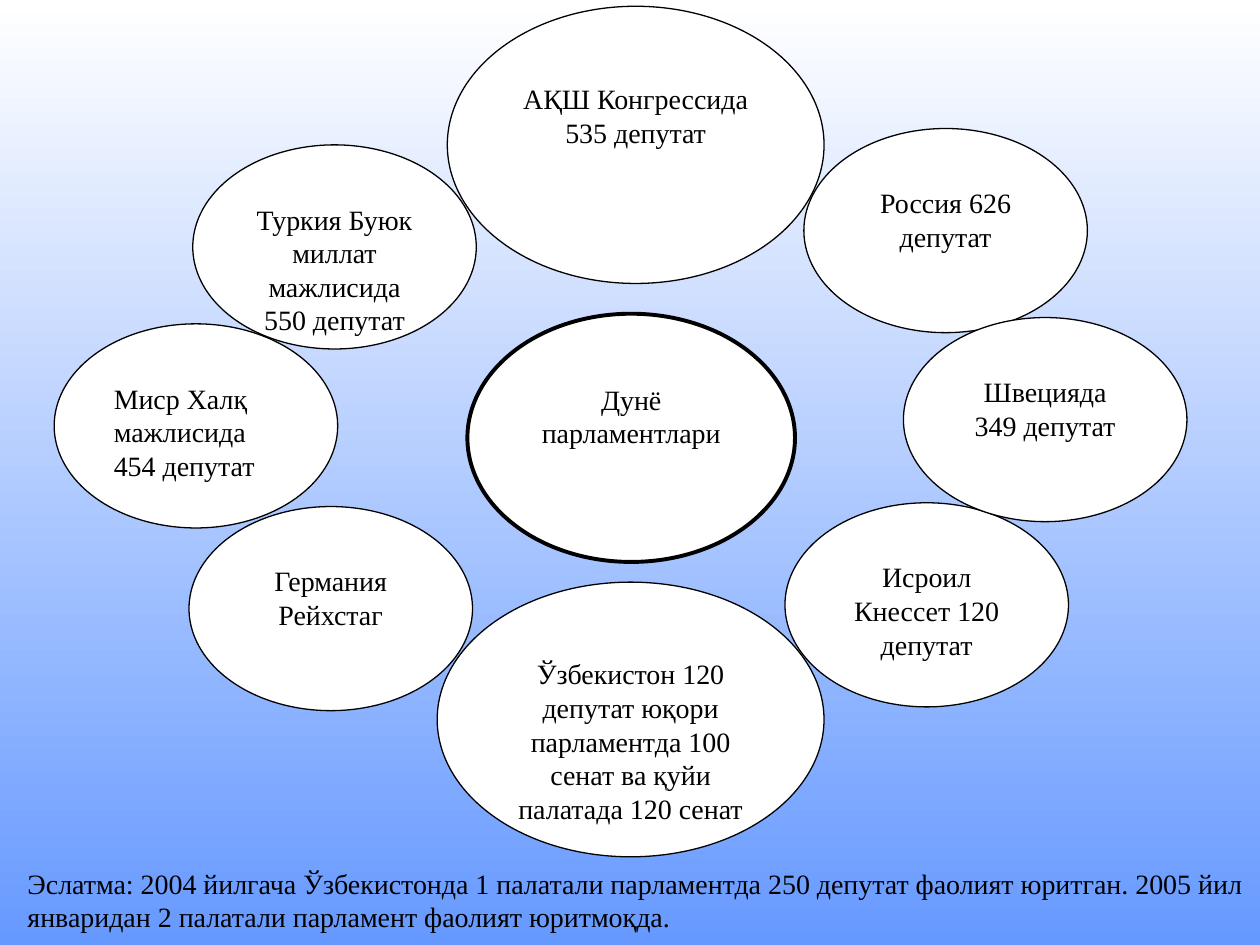
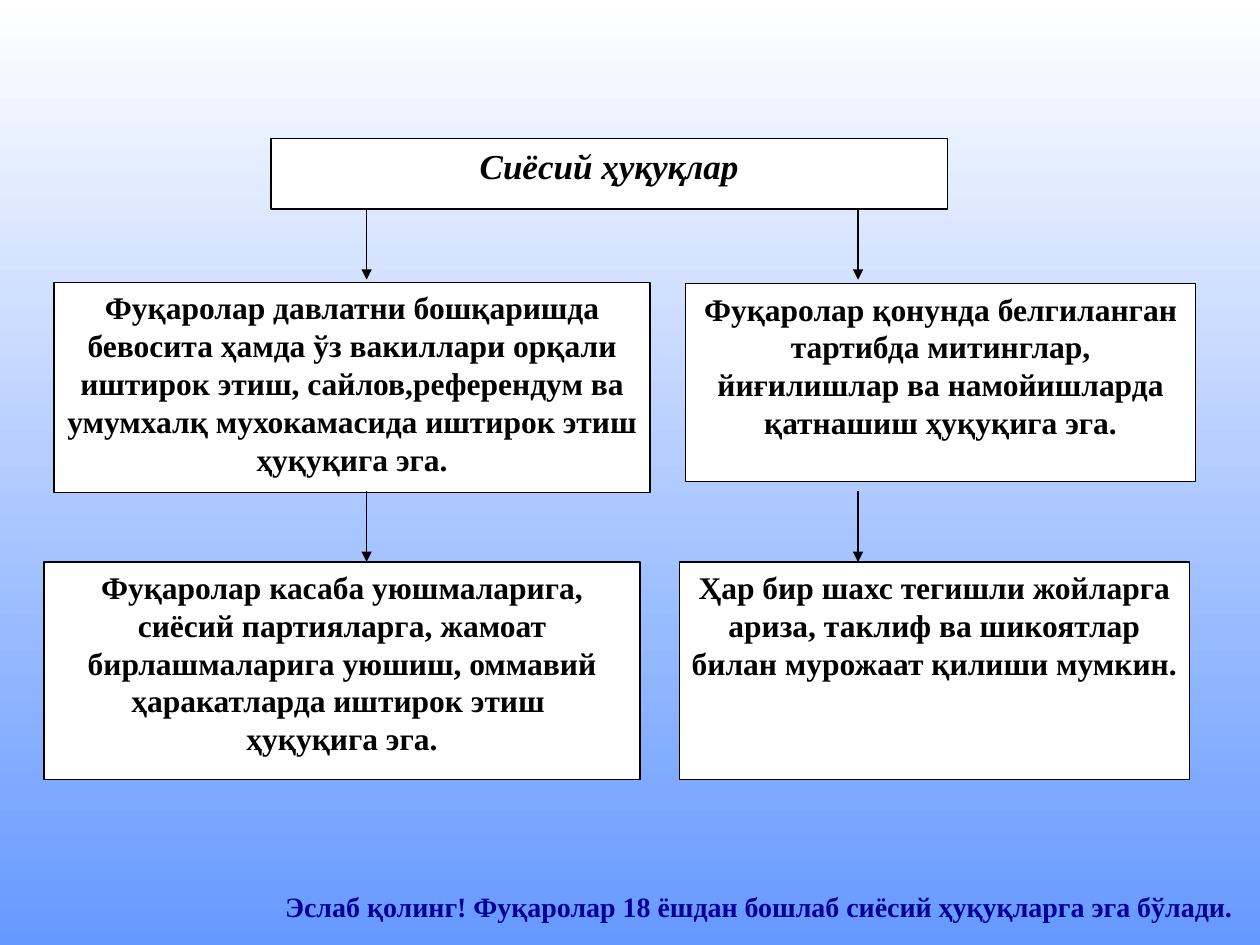
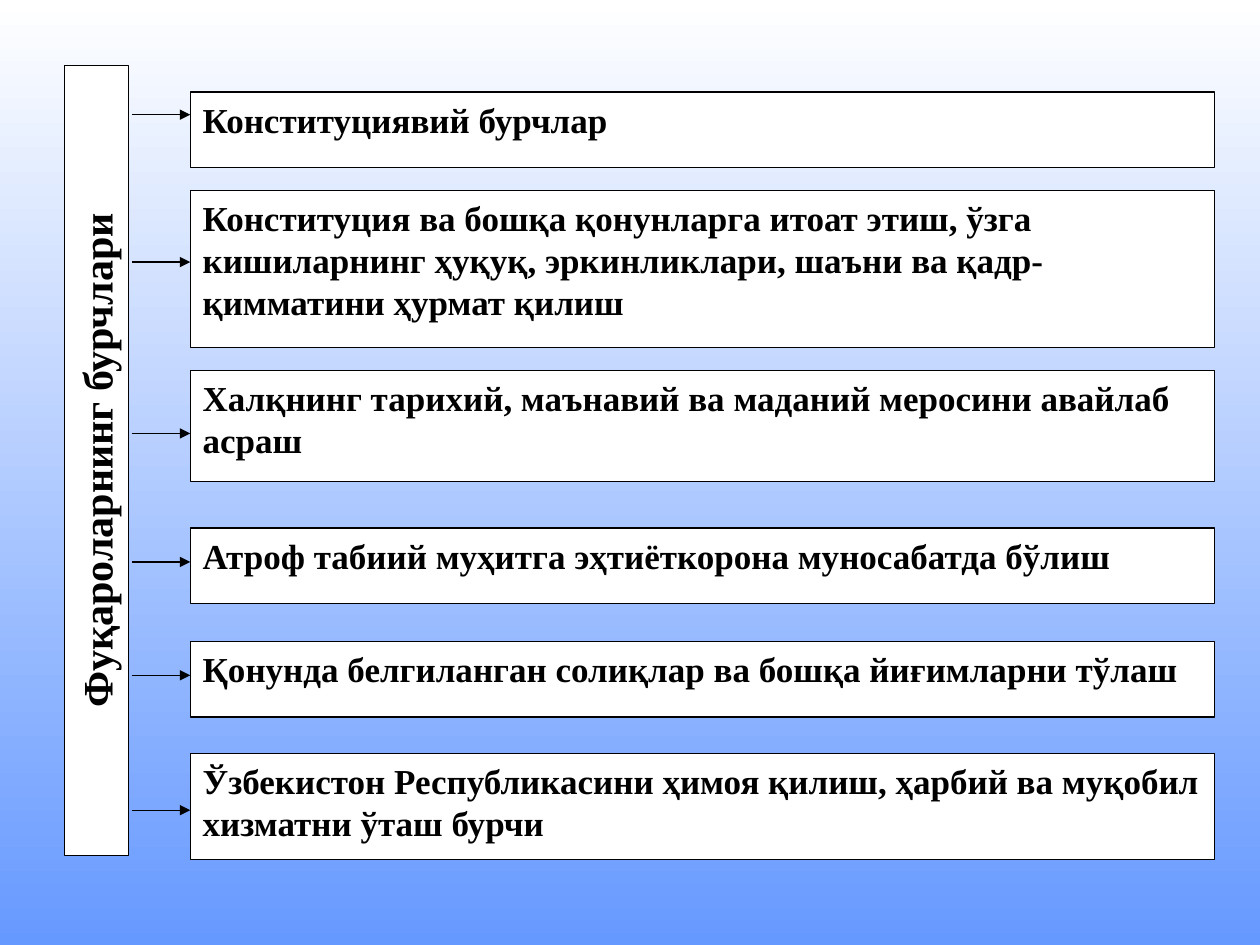
from lxml import etree
from pptx import Presentation
from pptx.dml.color import RGBColor
from pptx.enum.shapes import MSO_CONNECTOR, MSO_SHAPE
from pptx.enum.text import MSO_ANCHOR as ANCHOR, MSO_AUTO_SIZE, PP_ALIGN as ALIGN
from pptx.oxml.ns import qn
from pptx.util import Inches, Pt

FONT = "Times New Roman"
BLACK, WHITE, SKY, NAVY = "000000", "FFFFFF", "6699FF", "010199"
THIN, THICK = 0.75, 2.25
TITLE_ONLY, BLANK = 5, 6
SLIDE_W, SLIDE_H = 10, 7.5


def rgb(color):
    return RGBColor.from_string(color)


def inches(box):
    return [Inches(v) for v in box]


def set_background(master):
    """White-to-blue vertical gradient that every slide inherits."""
    fill = master.background.fill
    fill.gradient()
    fill.gradient_angle = 270
    for stop, color, pos in zip(fill.gradient_stops, (WHITE, SKY), (0, 1)):
        stop.color.rgb = rgb(color)
        stop.position = pos


def style(sp, line_width=THIN):
    sp.fill.solid()
    sp.fill.fore_color.rgb = rgb(WHITE)
    sp.line.color.rgb = rgb(BLACK)
    sp.line.width = Pt(line_width)


def write(sp, text, size, align=ALIGN.CENTER, bold=False, italic=False,
          color=BLACK, anchor=ANCHOR.TOP):
    """Fill the shape with text, one paragraph per line."""
    tf = sp.text_frame
    tf.text = text
    tf.word_wrap = True
    tf.auto_size = MSO_AUTO_SIZE.NONE
    tf.vertical_anchor = anchor
    tf.margin_left = tf.margin_right = Inches(0.1)
    tf.margin_top = tf.margin_bottom = Inches(0.05)
    for p in tf.paragraphs:
        p.alignment = align
        p.font.name, p.font.size = FONT, Pt(size)
        p.font.bold, p.font.italic = bold, italic
        p.font.color.rgb = rgb(color)


def add_outlined(slide, kind, box, line_width=THIN):
    sp = slide.shapes.add_shape(kind, *inches(box))
    sp.shadow.inherit = False
    style(sp, line_width)
    return sp


def add_panel(slide, box, text, size, align=ALIGN.CENTER):
    sp = add_outlined(slide, MSO_SHAPE.RECTANGLE, box)
    write(sp, text, size, align, bold=True)


def add_label(slide, box, text, **fmt):
    write(slide.shapes.add_textbox(*inches(box)), text, 16, **fmt)


def place_title(slide, box, text, size, **fmt):
    title = slide.shapes.title
    title.left, title.top, title.width, title.height = inches(box)
    write(title, text, size, **fmt)
    return title


def add_arrow(slide, x1, y1, x2, y2):
    line = slide.shapes.add_connector(MSO_CONNECTOR.STRAIGHT, *inches((x1, y1, x2, y2)))
    line.line.color.rgb = rgb(BLACK)
    line.line.width = Pt(THIN)
    etree.SubElement(line.line._get_or_add_ln(), qn("a:tailEnd"), type="triangle")
    etree.SubElement(line._element.spPr, qn("a:effectLst"))


def inner_box(box):
    """Text area inside an ellipse."""
    x, y, w, h = box
    return x + w / 6, y + h / 4, w * 2 / 3, h * 0.55


def parliaments_slide(prs):
    slide = prs.slides.add_slide(prs.slide_layouts[TITLE_ONLY])
    hub = (3.71, 2.49, 2.6, 1.97)
    add_outlined(slide, MSO_SHAPE.OVAL, hub, THICK)
    title = place_title(slide, inner_box(hub), "Дунё парламентлари", 16)
    title._element.getparent().append(title._element)

    small = (2.25, 1.62)
    countries = [
        ((3.55, 0.05), (2.99, 2.2), "АҚШ Конгрессида 535 депутат"),
        ((1.53, 1.15), small, "Туркия Буюк миллат мажлисида 550 депутат"),
        ((0.43, 2.57), small, "Миср Халқ мажлисида 454 депутат"),
        ((3.47, 4.62), (3.07, 2.18), "Ўзбекистон 120 депутат юқори парламентда 100 "
                                     "сенат ва қуйи палатада 120 сенат"),
        ((6.23, 3.99), small, "Исроил Кнессет 120 депутат"),
        ((6.38, 1.02), small, "Россия 626 депутат"),
        ((7.17, 2.52), small, "Швецияда 349 депутат"),
        ((1.5, 4.02), small, "Германия Рейхстаг"),
    ]
    for corner, size, text in countries:
        box = corner + size
        align = ALIGN.LEFT if text.startswith("Миср") else ALIGN.CENTER
        add_outlined(slide, MSO_SHAPE.OVAL, box)
        add_label(slide, inner_box(box), text, align=align)

    add_label(slide, (0.12, 6.82, SLIDE_W, 0.64),
              "Эслатма: 2004 йилгача Ўзбекистонда 1 палатали парламентда 250 депутат "
              "фаолият юритган. 2005 йил январидан 2 палатали парламент фаолият юритмоқда.",
              align=ALIGN.LEFT, anchor=ANCHOR.MIDDLE)


def rights_slide(prs):
    slide = prs.slides.add_slide(prs.slide_layouts[TITLE_ONLY])
    style(place_title(slide, (2.15, 1.1, 5.37, 0.56), "Сиёсий ҳуқуқлар", 20,
                      bold=True, italic=True))
    rights = [
        ((5.44, 2.25, 4.05, 1.57), "Фуқаролар қонунда белгиланган\nтартибда митинглар, "
                                   "йиғилишлар ва намойишларда қатнашиш ҳуқуқига эга."),
        ((5.39, 4.46, 4.05, 1.73), "Ҳар бир шахс тегишли жойларга ариза, таклиф ва "
                                   "шикоятлар билан мурожаат қилиши мумкин."),
        ((0.43, 2.24, 4.73, 1.67), "Фуқаролар давлатни бошқаришда бевосита ҳамда ўз "
                                   "вакиллари орқали иштирок этиш, сайлов,референдум ва "
                                   "умумхалқ мухокамасида иштирок этиш ҳуқуқига эга."),
        ((0.35, 4.46, 4.73, 1.73), "Фуқаролар касаба уюшмаларига, сиёсий партияларга, "
                                   "жамоат бирлашмаларига уюшиш, оммавий ҳаракатларда "
                                   "иштирок этиш \nҳуқуқига эга."),
    ]
    for box, text in rights:
        add_panel(slide, box, text, 18)
    for x in (2.91, 6.81):
        for top, bottom in ((1.66, 2.22), (3.9, 4.46)):
            add_arrow(slide, x, top, x, bottom)

    add_label(slide, (1.9, 7.01, 7.98, 0.37),
              "Эслаб қолинг! Фуқаролар 18 ёшдан бошлаб сиёсий ҳуқуқларга эга бўлади.",
              align=ALIGN.RIGHT, bold=True, color=NAVY, anchor=ANCHOR.MIDDLE)


def duties_slide(prs):
    slide = prs.slides.add_slide(prs.slide_layouts[TITLE_ONLY])
    title = place_title(slide, (-2.37, 3.4, 6.27, 0.51), "Фуқароларнинг бурчлари", 24,
                        bold=True)
    title.rotation = 270
    style(title)

    left, width, arrow_left = 1.51, 8.13, 1.05
    duties = [  # top, height, arrow level, text
        (0.73, 0.6, 0.91, "Конституциявий бурчлар"),
        (1.51, 1.25, 2.08, "Конституция ва бошқа қонунларга итоат этиш, ўзга "
                           "кишиларнинг ҳуқуқ, эркинликлари, шаъни ва "
                           "қадр-қимматини ҳурмат қилиш"),
        (2.94, 0.88, 3.44, "Халқнинг тарихий, маънавий ва маданий меросини авайлаб асраш"),
        (4.19, 0.6, 4.46, "Атроф табиий муҳитга эҳтиёткорона муносабатда бўлиш"),
        (5.09, 0.6, 5.36, "Қонунда белгиланган солиқлар ва бошқа йиғимларни тўлаш"),
        (5.98, 0.84, 6.43, "Ўзбекистон Республикасини ҳимоя қилиш, ҳарбий ва муқобил "
                           "хизматни ўташ бурчи"),
    ]
    for top, height, level, text in duties:
        add_panel(slide, (left, top, width, height), text, 20, ALIGN.LEFT)
        add_arrow(slide, arrow_left, level, left, level)


def main():
    prs = Presentation()
    prs.slide_width, prs.slide_height = Inches(SLIDE_W), Inches(SLIDE_H)
    set_background(prs.slide_master)
    parliaments_slide(prs)
    rights_slide(prs)
    duties_slide(prs)
    prs.save("out.pptx")


if __name__ == "__main__":
    main()
